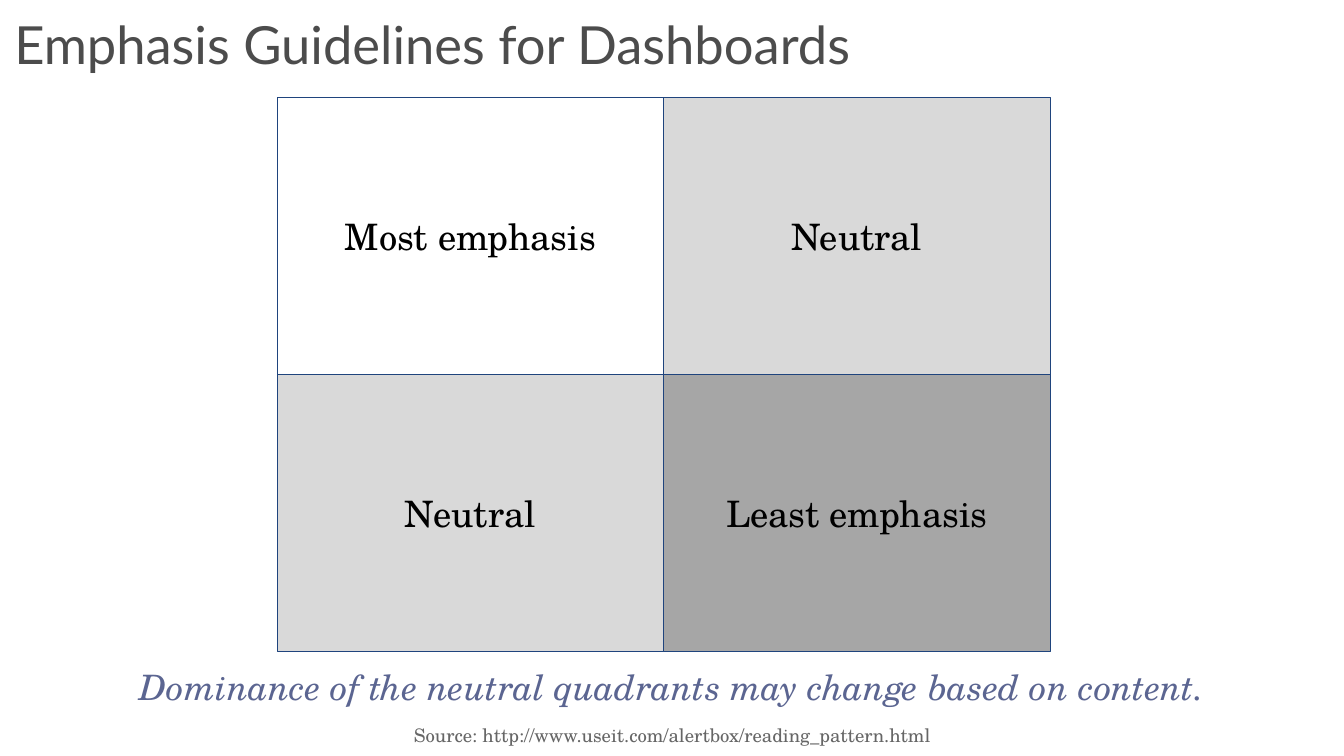
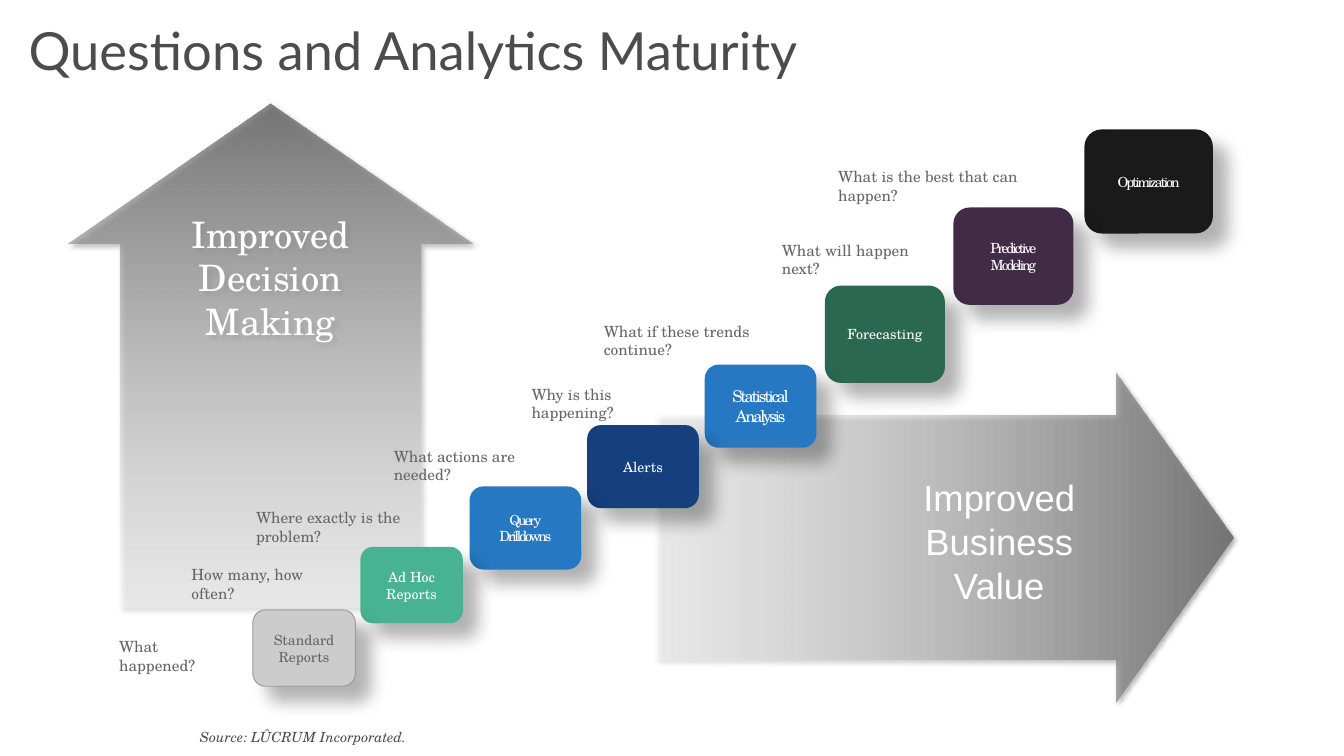
from lxml import etree
from pptx import Presentation
from pptx import util as u
from pptx.dml.color import RGBColor
from pptx.enum import shapes, text
from pptx.oxml.ns import qn

WHITE = RGBColor(0xFF, 0xFF, 0xFF)
BLACK = RGBColor(0x00, 0x00, 0x00)
TITLE_GRAY = RGBColor(0x4C, 0x4C, 0x4C)
TEXT_GRAY = RGBColor(0x66, 0x66, 0x66)
CREDIT_GRAY = RGBColor(0x4D, 0x4D, 0x4D)
NOTE_BLUE = RGBColor(0x5B, 0x65, 0x91)
GRID_BLUE = RGBColor(0x1F, 0x44, 0x7D)
LIGHT_GRAY = RGBColor(0xD9, 0xD9, 0xD9)
MID_GRAY = RGBColor(0xA6, 0xA6, 0xA6)
STEP_GRAY = RGBColor(0xCC, 0xCC, 0xCC)
STEP_EDGE = RGBColor(0x9C, 0x9C, 0x9C)
STEP_MINT = RGBColor(0x47, 0xB3, 0x91)
STEP_BLUE = RGBColor(0x25, 0x78, 0xC1)
STEP_NAVY = RGBColor(0x16, 0x3F, 0x7D)
STEP_GREEN = RGBColor(0x2A, 0x68, 0x50)
STEP_PLUM = RGBColor(0x41, 0x2B, 0x47)
STEP_BLACK = RGBColor(0x1A, 0x1A, 0x1A)

SERIF = "TeX Gyre Schola"
CENTER = text.PP_ALIGN.CENTER
LEFT = text.PP_ALIGN.LEFT
TOP = text.MSO_ANCHOR.TOP
MIDDLE = text.MSO_ANCHOR.MIDDLE
A_NS = "http://schemas.openxmlformats.org/drawingml/2006/main"


def write(shape, words, size, color, font=SERIF, align=LEFT, anchor=TOP,
          italic=None, inset=True, spacing=None, tracking=0):
    frame = shape.text_frame
    frame.word_wrap = True
    frame.vertical_anchor = anchor
    if not inset:
        frame.margin_left = frame.margin_right = 0
        frame.margin_top = frame.margin_bottom = 0
    frame.text = words
    for paragraph in frame.paragraphs:
        paragraph.alignment = align
        paragraph.line_spacing = spacing
        paragraph.font.name = font
        paragraph.font.size = u.Pt(size)
        paragraph.font.color.rgb = color
        paragraph.font.italic = italic
        if tracking:
            for run in paragraph.runs:
                run._r.get_or_add_rPr().set("spc", str(tracking))


def add_shadow(shape, opacity, blur, distance):
    shape._element.spPr.append(etree.fromstring(
        f'<a:effectLst xmlns:a="{A_NS}"><a:outerShdw blurRad="{u.Pt(blur)}" '
        f'dist="{u.Pt(distance)}" dir="2700000" algn="tl" rotWithShape="0">'
        f'<a:srgbClr val="000000"><a:alpha val="{opacity * 1000}"/></a:srgbClr>'
        f'</a:outerShdw></a:effectLst>'))


prs = Presentation()
prs.slide_width, prs.slide_height = u.Inches(16), u.Inches(9)
blank = prs.slide_layouts[6]

pages = []
for heading, left, top, width, height in [
    ("Emphasis Guidelines for Dashboards", 0.17, 0.29, 15.66, 1.21),
    ("Questions and Analytics Maturity", 0.34, 0.36, 14.48, 0.61),
]:
    page = prs.slides.add_slide(blank)
    title = page.shapes.add_textbox(*map(u.Inches, (left, top, width, height)))
    write(title, heading, 45, TITLE_GRAY, "Lato", inset=False, spacing=0.8)
    pages.append(page)
emphasis, maturity = pages

note = emphasis.shapes.add_textbox(u.Inches(0), u.Inches(7.87), u.Inches(16), u.Inches(0.61))
write(note, "Dominance of the neutral quadrants may change based on content.",
      30, NOTE_BLUE, align=CENTER, italic=True)
source = emphasis.shapes.add_textbox(u.Inches(3.69), u.Inches(8.57), u.Inches(8.63), u.Inches(0.37))
write(source, "Source: http://www.useit.com/alertbox/reading_pattern.html",
      16, TEXT_GRAY, align=CENTER)

quadrants = [("Most emphasis", WHITE), ("Neutral", LIGHT_GRAY),
             ("Neutral", LIGHT_GRAY), ("Least emphasis", MID_GRAY)]
for index, (label, shade) in enumerate(quadrants):
    row, column = divmod(index, 2)
    quadrant = emphasis.shapes.add_shape(
        shapes.MSO_SHAPE.RECTANGLE, u.Inches(3.3 + 4.6 * column),
        u.Inches(1.16 + 3.3 * row), u.Inches(4.6), u.Inches(3.3))
    quadrant.shadow.inherit = False
    quadrant.fill.solid()
    quadrant.fill.fore_color.rgb = shade
    quadrant.line.color.rgb = GRID_BLUE
    quadrant.line.width = u.Pt(0.75)
    write(quadrant, label, 31.2, BLACK, align=CENTER, anchor=MIDDLE)

for left, top, width, height, head, turn, benefit in [
    (0.8, 1.23, 4.84, 6, 0.346, 0, "Improved\nDecision\nMaking"),
    (9.28, 2.96, 3.93, 6.88, 0.357, 90, ""),
]:
    arrow = maturity.shapes.add_shape(
        shapes.MSO_SHAPE.UP_ARROW, *map(u.Inches, (left, top, width, height)))
    arrow.adjustments[0] = 0.741
    arrow.adjustments[1] = head
    arrow.rotation = turn
    arrow.line.fill.background()
    arrow.fill.gradient()
    arrow.fill.gradient_angle = 270
    for stop, color, position, opacity in zip(
            arrow.fill.gradient_stops, (TEXT_GRAY, WHITE), (0, 1), (80, 33)):
        stop.color.rgb = color
        stop.position = position
    for tint, opacity in zip(arrow._element.spPr.iter(qn("a:srgbClr")), (80, 33)):
        etree.SubElement(tint, qn("a:alpha")).set("val", str(opacity * 1000))
    add_shadow(arrow, 40, 4, 3)
    if benefit:
        write(arrow, benefit, 31.2, WHITE, align=CENTER)

value = maturity.shapes.add_textbox(u.Inches(10.52), u.Inches(5.61), u.Inches(2.75), u.Inches(1.74))
write(value, "Improved Business Value", 31.2, WHITE, "Arial", align=CENTER)

for question, left, top, width in [
    ("What happened?", 1.32, 7.54, 1.5),
    ("How many, how often?", 2.18, 6.68, 2),
    ("Where exactly is the problem?", 2.95, 6, 2.6),
    ("What actions are needed?", 4.59, 5.27, 2.25),
    ("Why is this happening?", 6.23, 4.53, 2.05),
    ("What if these trends continue?", 7.09, 3.78, 2.7),
    ("What will happen next?", 9.21, 2.82, 2.05),
    ("What is the best that can happen?", 9.88, 1.94, 2.95),
]:
    prompt = maturity.shapes.add_textbox(*map(u.Inches, (left, top, width, 0.32)))
    write(prompt, question, 13.2, TEXT_GRAY)

for stage, left, top, width, height, shade, size, tracking in [
    ("Optimization", 12.91, 1.54, 1.53, 1.24, STEP_BLACK, 12, -180),
    ("Predictive\nModeling", 11.35, 2.47, 1.43, 1.16, STEP_PLUM, 12, -180),
    ("Forecasting", 9.82, 3.4, 1.43, 1.16, STEP_GREEN, 12, 0),
    ("Statistical\nAnalysis", 8.39, 4.34, 1.33, 0.99, STEP_BLUE, 14, -180),
    ("Alerts", 6.99, 5.06, 1.33, 0.99, STEP_NAVY, 12, 0),
    ("Query\nDrilldowns", 5.59, 5.79, 1.33, 0.99, STEP_BLUE, 12, -180),
    ("Ad Hoc\nReports", 4.29, 6.51, 1.22, 0.91, STEP_MINT, 12, 0),
    ("Standard\nReports", 3.01, 7.26, 1.22, 0.91, STEP_GRAY, 12, 0),
]:
    step = maturity.shapes.add_shape(
        shapes.MSO_SHAPE.ROUNDED_RECTANGLE, *map(u.Inches, (left, top, width, height)))
    step.fill.solid()
    step.fill.fore_color.rgb = shade
    first_step = shade == STEP_GRAY
    if first_step:
        step.line.color.rgb = STEP_EDGE
        step.line.width = u.Pt(0.85)
    else:
        step.line.fill.background()
    add_shadow(step, 30, 15, 18)
    write(step, stage, size, TEXT_GRAY if first_step else WHITE, align=CENTER,
          anchor=MIDDLE, inset=False, tracking=tracking)

credit = maturity.shapes.add_textbox(u.Inches(2.38), u.Inches(8.64), u.Inches(11.62), u.Inches(0.27))
write(credit, "Source: LÛCRUM Incorporated.", 12, CREDIT_GRAY,
      anchor=MIDDLE, italic=True, inset=False)

prs.save("out.pptx")
